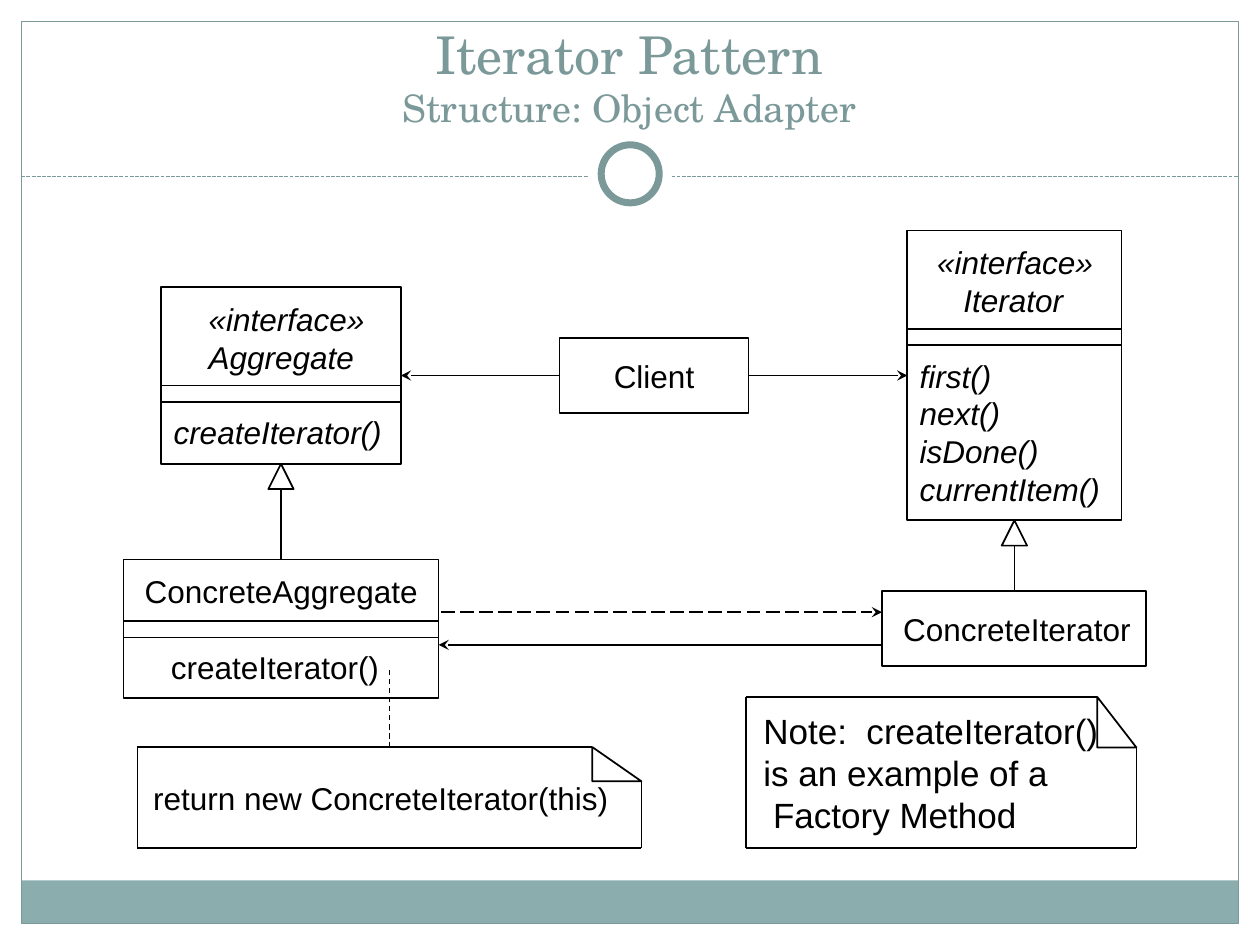
from dataclasses import dataclass

import lxml.etree
import pptx
import pptx.dml.color
import pptx.enum.dml
import pptx.enum.shapes
import pptx.enum.text
import pptx.oxml.ns
import pptx.slide
import pptx.util

Cm = pptx.util.Cm
Pt = pptx.util.Pt
Shapes = pptx.enum.shapes.MSO_SHAPE
Dash = pptx.enum.dml.MSO_LINE
Align = pptx.enum.text.PP_ALIGN
Anchor = pptx.enum.text.MSO_ANCHOR


@dataclass(frozen=True)
class Theme:
    ink: str = "000000"
    paper: str = "FFFFFF"
    accent: str = "7C999A"
    band: str = "8CADAE"
    title_font: str = "TeX Gyre Schola"
    body_font: str = "Arial"
    title_size: float = 29.7
    subtitle_size: float = 21.6
    class_size: float = 18
    note_size: float = 20
    leading: float = 1.2
    thin: float = 0.75
    stroke: float = 1
    ring: float = 4


@dataclass(frozen=True)
class Area:
    left: float
    top: float
    width: float
    height: float

    @property
    def right(self) -> float:
        return self.left + self.width

    @property
    def bottom(self) -> float:
        return self.top + self.height

    @property
    def center(self) -> float:
        return self.left + self.width / 2

    @property
    def middle(self) -> float:
        return self.top + self.height / 2

    def lengths(self) -> list:
        return [Cm(value) for value in (self.left, self.top, self.width, self.height)]


@dataclass(frozen=True)
class Entry:
    text: str
    indent: float = 0
    new_section: bool = False


@dataclass(frozen=True)
class ClassBox:
    area: Area
    entries: tuple
    header: float = 0
    italic: bool = False
    align: Align = Align.LEFT


@dataclass(frozen=True)
class Note:
    area: Area
    fold: tuple
    text_area: Area
    entries: tuple
    size: float


THEME = Theme()
DIVIDER_GAP = 0.33
TRIANGLE = 0.51

AGGREGATE = ClassBox(
    Area(3.25, 5.79, 4.83, 3.56),
    (Entry("«interface»", 20), Entry("Aggregate", 20), Entry("createIterator()", 0, True)),
    1.98, True)
CONCRETE_AGGREGATE = ClassBox(
    Area(2.49, 11.28, 6.35, 2.79),
    (Entry("ConcreteAggregate", 5), Entry("createIterator()", 20, True)), 1.24)
CLIENT = ClassBox(Area(11.28, 6.81, 3.81, 1.52), (Entry("Client"),), align=Align.CENTER)
ITERATOR = ClassBox(
    Area(18.29, 4.65, 4.32, 5.84),
    (Entry("«interface»", 10), Entry("Iterator", 25), Entry("first()", 0, True),
     Entry("next()"), Entry("isDone()"), Entry("currentItem()")), 1.98, True)
CONCRETE_ITERATOR = ClassBox(Area(17.78, 11.91, 5.33, 1.52), (Entry("ConcreteIterator", 5),))

NOTES = (
    Note(Area(2.77, 15.06, 10.16, 2.03), (0.99, 0.69), Area(2.84, 15.19, 9.9, 1.78),
         (Entry("return new ConcreteIterator(this)"),), THEME.class_size),
    Note(Area(15.04, 14.05, 7.87, 3.05), (0.79, 1.02), Area(15.14, 14.17, 7.32, 2.82),
         (Entry("Note:  createIterator()"), Entry("is an example of a"),
          Entry("Factory Method", 5.5)), THEME.note_size),
)


def apply(target, values: dict) -> None:
    for name, value in values.items():
        setattr(target, name, value)


def color(value: str) -> pptx.dml.color.RGBColor:
    return pptx.dml.color.RGBColor.from_string(value)


def style_font(font, name: str, size: float, ink: str, italic: bool = False) -> None:
    apply(font, {"name": name, "size": Pt(size), "italic": italic})
    font.color.rgb = color(ink)


def add_shape(slide: pptx.slide.Slide, kind: Shapes, area: Area, fill: str = "",
              line: str = "", width: float = THEME.stroke):
    shape = slide.shapes.add_shape(kind, *area.lengths())
    shape.shadow.inherit = False
    if fill:
        shape.fill.solid()
        shape.fill.fore_color.rgb = color(fill)
    else:
        shape.fill.background()
    if line:
        shape.line.color.rgb = color(line)
        shape.line.width = Pt(width)
    else:
        shape.line.fill.background()
    return shape


def add_line(slide: pptx.slide.Slide, start: tuple, end: tuple, ink: str = THEME.ink,
             width: float = THEME.stroke, dash=None, arrow: bool = False) -> None:
    connector = slide.shapes.add_connector(
        pptx.enum.shapes.MSO_CONNECTOR.STRAIGHT, *[Cm(value) for value in start + end])
    connector.line.color.rgb = color(ink)
    apply(connector.line, {"width": Pt(width), "dash_style": dash})
    qualified = pptx.oxml.ns.qn
    if arrow:
        line_element = connector.line._get_or_add_ln()
        lxml.etree.SubElement(line_element, qualified("a:tailEnd"), type="stealth")
    lxml.etree.SubElement(connector._element.spPr, qualified("a:effectLst"))


def write_entries(frame, entries: tuple, size: float, italic: bool = False,
                  align: Align = Align.LEFT) -> None:
    apply(frame, {"word_wrap": True, "vertical_anchor": Anchor.MIDDLE, "margin_right": 0})
    if align == Align.CENTER:
        frame.margin_left = 0
    pitch = Pt(size * THEME.leading)
    for index, entry in enumerate(entries):
        paragraph = frame.paragraphs[0] if index == 0 else frame.add_paragraph()
        if entry.indent:
            paragraph._p.get_or_add_pPr().set("marL", str(Pt(entry.indent)))
        apply(paragraph, {"text": entry.text, "alignment": align, "line_spacing": pitch,
                          "space_before": pitch if entry.new_section else Pt(0)})
        style_font(paragraph.font, THEME.body_font, size, THEME.ink, italic)


def draw_class(slide: pptx.slide.Slide, box: ClassBox) -> None:
    area = box.area
    shape = add_shape(slide, Shapes.RECTANGLE, area, line=THEME.ink)
    write_entries(shape.text_frame, box.entries, THEME.class_size, box.italic, box.align)
    if box.header:
        for offset in (box.header, box.header + DIVIDER_GAP):
            y = area.top + offset
            add_line(slide, (area.left, y), (area.right, y))


def draw_inheritance(slide: pptx.slide.Slide, parent: Area, child: Area) -> None:
    x = parent.center
    add_shape(slide, Shapes.ISOSCELES_TRIANGLE,
              Area(x - TRIANGLE / 2, parent.bottom, TRIANGLE, TRIANGLE), line=THEME.ink)
    add_line(slide, (x, parent.bottom + TRIANGLE), (x, child.top))


def draw_note(slide: pptx.slide.Slide, note: Note) -> None:
    area, (fold_width, fold_height) = note.area, note.fold
    fold_left = area.right - fold_width
    text_box = slide.shapes.add_textbox(*note.text_area.lengths())
    write_entries(text_box.text_frame, note.entries, note.size)
    add_shape(slide, Shapes.RIGHT_TRIANGLE,
              Area(fold_left, area.top, fold_width, fold_height), line=THEME.ink)
    outline = ((fold_left, area.top), (area.left, area.top), (area.left, area.bottom),
               (area.right, area.bottom), (area.right, area.top + fold_height))
    for start, end in zip(outline, outline[1:]):
        add_line(slide, start, end)


def draw_frame(slide: pptx.slide.Slide) -> None:
    for area, fill in ((Area(0, 0, 25.4, 3.86), THEME.paper),
                       (Area(0, 0, 0.43, 19.05), THEME.paper),
                       (Area(24.97, 0, 0.43, 19.05), THEME.paper),
                       (Area(0.43, 17.75, 24.54, 0.86), THEME.band)):
        add_shape(slide, Shapes.RECTANGLE, area, fill)
    add_shape(slide, Shapes.RECTANGLE, Area(0.43, 0.43, 24.54, 18.19),
              line=THEME.accent, width=THEME.thin)
    add_line(slide, (0.43, 3.56), (24.97, 3.56), THEME.accent, THEME.thin, Dash.SQUARE_DOT)
    add_shape(slide, Shapes.OVAL, Area(11.85, 2.67, 1.7, 1.7), THEME.paper)
    add_shape(slide, Shapes.OVAL, Area(12.12, 2.92, 1.17, 1.17), THEME.paper,
              THEME.accent, THEME.ring)


def draw_title(slide: pptx.slide.Slide) -> None:
    frame = slide.shapes.add_textbox(*Area(0.84, 0.64, 23.7, 2.11).lengths()).text_frame
    apply(frame, {"word_wrap": True, "vertical_anchor": Anchor.BOTTOM})
    paragraph = frame.paragraphs[0]
    paragraph.alignment = Align.CENTER
    title = paragraph.add_run()
    paragraph.add_line_break()
    subtitle = paragraph.add_run()
    for run, text, size in ((title, "Iterator Pattern", THEME.title_size),
                            (subtitle, "Structure: Object Adapter", THEME.subtitle_size)):
        run.text = text
        style_font(run.font, THEME.title_font, size, THEME.accent)


def main() -> None:
    presentation = pptx.Presentation()
    apply(presentation, {"slide_width": Cm(25.4), "slide_height": Cm(19.05)})
    slide = presentation.slides.add_slide(presentation.slide_layouts[6])
    draw_frame(slide)
    draw_title(slide)
    for box in (AGGREGATE, CONCRETE_AGGREGATE, CLIENT, ITERATOR, CONCRETE_ITERATOR):
        draw_class(slide, box)
    draw_inheritance(slide, AGGREGATE.area, CONCRETE_AGGREGATE.area)
    draw_inheritance(slide, ITERATOR.area, CONCRETE_ITERATOR.area)
    client = CLIENT.area
    for start, end, y, dash in (
            (client.right, ITERATOR.area.left, client.middle, None),
            (client.left, AGGREGATE.area.right, client.middle, None),
            (CONCRETE_ITERATOR.area.left, CONCRETE_AGGREGATE.area.right, 13.0, None),
            (8.89, CONCRETE_ITERATOR.area.left, 12.34, Dash.LONG_DASH)):
        add_line(slide, (start, y), (end, y), dash=dash, arrow=True)
    add_line(slide, (7.85, 13.51), (7.85, 15.04), width=THEME.thin, dash=Dash.DASH)
    for note in NOTES:
        draw_note(slide, note)
    presentation.save("out.pptx")


if __name__ == "__main__":
    main()
